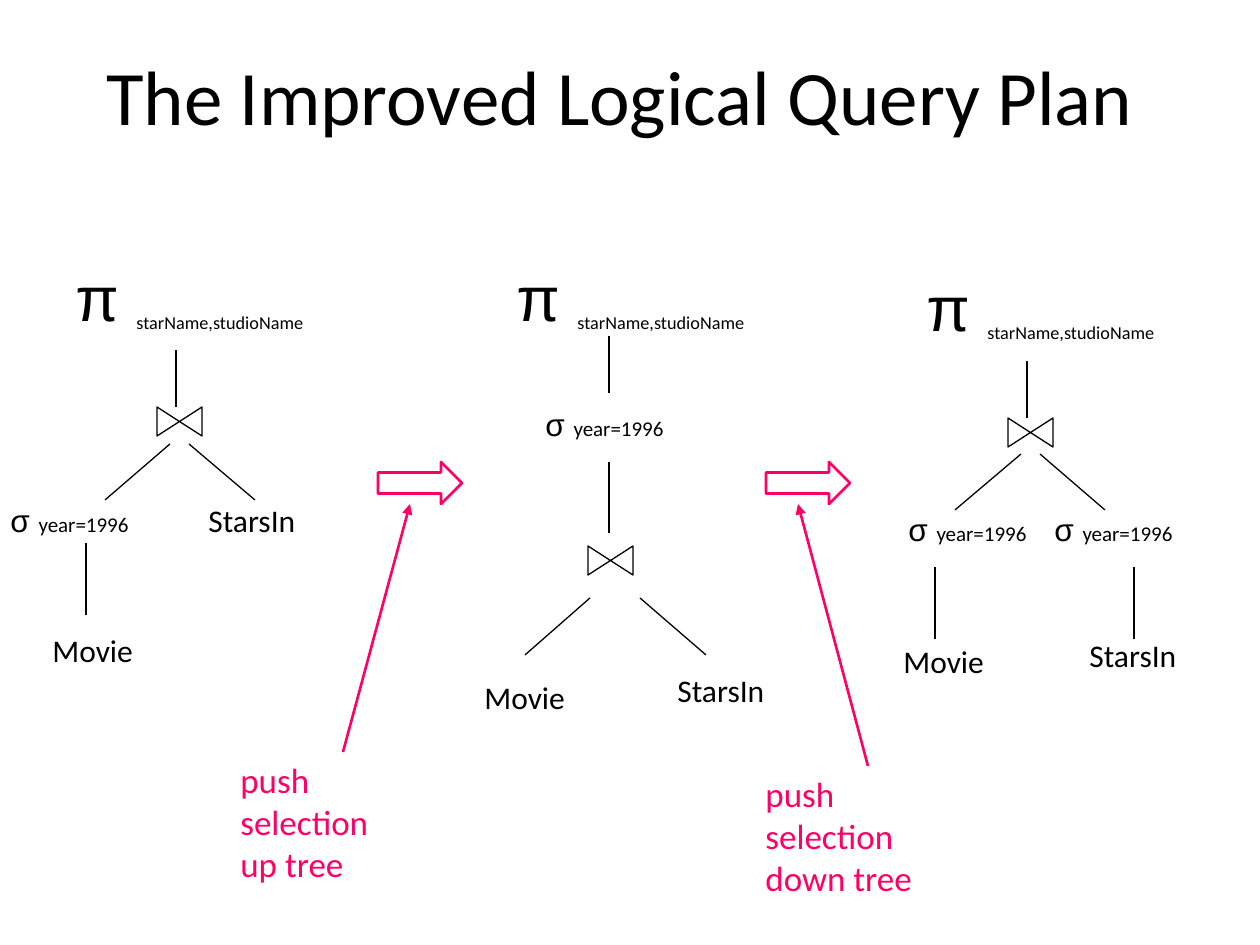
from dataclasses import dataclass

from lxml.etree import SubElement
from pptx import Presentation
from pptx.dml.color import RGBColor
from pptx.enum.shapes import MSO_CONNECTOR as Connector, MSO_SHAPE as Shape
from pptx.enum.text import MSO_ANCHOR as Anchor, PP_ALIGN as Align
from pptx.oxml.ns import qn
from pptx.util import Pt

EMU_PER_PX = 914400 / 126
BLACK, PINK = "000000", "FF0066"


@dataclass(frozen=True)
class Run:
    text: str
    size: int
    font: str = "Calibri"
    baseline: int = 0


@dataclass(frozen=True)
class Label:
    runs: tuple[Run, ...]
    width: int
    height: int


@dataclass(frozen=True)
class Tree:
    labels: tuple[tuple[Label, int, int], ...]      # label, left, top
    join: tuple[int, int]                           # left, top
    edges: tuple[tuple[int, int, int, int], ...]    # x1, y1, x2, y2


@dataclass(frozen=True)
class Step:
    arrow_left: int
    note_at: tuple[int, int]
    note: tuple[str, str]
    pointer: tuple[int, int, int, int]


PROJECTION = Label((Run("π ", 36, "Arial"),
                    Run("starName,studioName", 18, baseline=-25000)), 258, 88)
SELECTION = Label((Run("σ ", 18, "Arial"), Run("year=1996", 12)), 150, 50)
MOVIE = Label((Run("Movie", 18),), 106, 50)
STARS_IN = Label((Run("StarsIn", 18),), 113, 50)

TREES = (
    Tree(((PROJECTION, 63, 252), (SELECTION, -2, 495),
          (STARS_IN, 196, 495), (MOVIE, 40, 625)),
         (165, 399),
         ((176, 350, 176, 407), (170, 444, 105, 500),
          (189, 444, 255, 500), (86, 543, 86, 615))),
    Tree(((PROJECTION, 504, 252), (SELECTION, 533, 399),
          (MOVIE, 472, 672), (STARS_IN, 665, 665)),
         (596, 538),
         ((609, 336, 609, 393), (609, 462, 609, 533),
          (590, 598, 525, 655), (640, 598, 706, 655))),
    Tree(((PROJECTION, 914, 262), (SELECTION, 896, 504), (SELECTION, 1042, 504),
          (MOVIE, 891, 636), (STARS_IN, 1077, 630)),
         (1016, 410),
         ((1027, 361, 1027, 418), (1021, 454, 955, 510), (1040, 454, 1105, 510),
          (935, 567, 935, 639), (1134, 567, 1134, 639))),
)

STEPS = (
    Step(378, (228, 752), ("push selection", "up tree"), (343, 752, 410, 504)),
    Step(766, (753, 766), ("push selection", "down tree"), (868, 766, 798, 504)),
)


def px(*lengths: int) -> list[int]:
    return [round(length * EMU_PER_PX) for length in lengths]


def color(value: str) -> RGBColor:
    return RGBColor.from_string(value)


def add_text(slide, box: tuple[int, int, int, int], lines, fill: str = BLACK,
             align=Align.LEFT, wrap: bool = False) -> None:
    frame = slide.shapes.add_textbox(*px(*box)).text_frame
    frame.word_wrap = wrap
    frame.vertical_anchor = Anchor.TOP
    for index, runs in enumerate(lines):
        paragraph = frame.add_paragraph() if index else frame.paragraphs[0]
        paragraph.alignment = align
        for item in runs:
            run = paragraph.add_run()
            run.text = item.text
            run.font.size = Pt(item.size)
            run.font.name = item.font
            run.font.color.rgb = color(fill)
            if item.baseline:
                run._r.get_or_add_rPr().set("baseline", str(item.baseline))


def add_outline(slide, kind, box: tuple[int, int, int, int], stroke: str,
                width: float, rotation: int = 0) -> None:
    shape = slide.shapes.add_shape(kind, *px(*box))
    shape.rotation = rotation
    shape.shadow.inherit = False
    shape.fill.background()
    shape.line.color.rgb = color(stroke)
    shape.line.width = Pt(width)


def add_line(slide, ends: tuple[int, int, int, int], stroke: str = BLACK,
             width: float = 0.75, arrow: bool = False) -> None:
    line = slide.shapes.add_connector(Connector.STRAIGHT, *px(*ends))
    line.line.color.rgb = color(stroke)
    line.line.width = Pt(width)
    if arrow:
        SubElement(line.line._get_or_add_ln(), qn("a:tailEnd"), type="triangle")
    SubElement(line._element.spPr, qn("a:effectLst"))


def draw_tree(slide, tree: Tree) -> None:
    for label, left, top in tree.labels:
        add_text(slide, (left, top, label.width, label.height), [label.runs])
    add_outline(slide, Shape.FLOWCHART_COLLATE, (*tree.join, 29, 45), BLACK, 0.75, 270)
    for edge in tree.edges:
        add_line(slide, edge)


def draw_step(slide, step: Step) -> None:
    add_outline(slide, Shape.RIGHT_ARROW, (step.arrow_left, 462, 84, 42), PINK, 1.5)
    add_text(slide, (*step.note_at, 229, 97),
             [(Run(line, 20),) for line in step.note], PINK)
    add_line(slide, step.pointer, PINK, 1.5, arrow=True)


def main() -> None:
    presentation = Presentation()
    presentation.slide_width, presentation.slide_height = px(1260, 945)
    slide = presentation.slides.add_slide(presentation.slide_layouts[6])

    # Title
    add_text(slide, (32, 42, 1176, 199),
             [(Run("The Improved Logical Query Plan", 44),)],
             align=Align.CENTER, wrap=True)

    # Query plans
    for tree in TREES:
        draw_tree(slide, tree)

    # Rewriting steps between the plans
    for step in STEPS:
        draw_step(slide, step)

    presentation.save("out.pptx")


if __name__ == "__main__":
    main()
